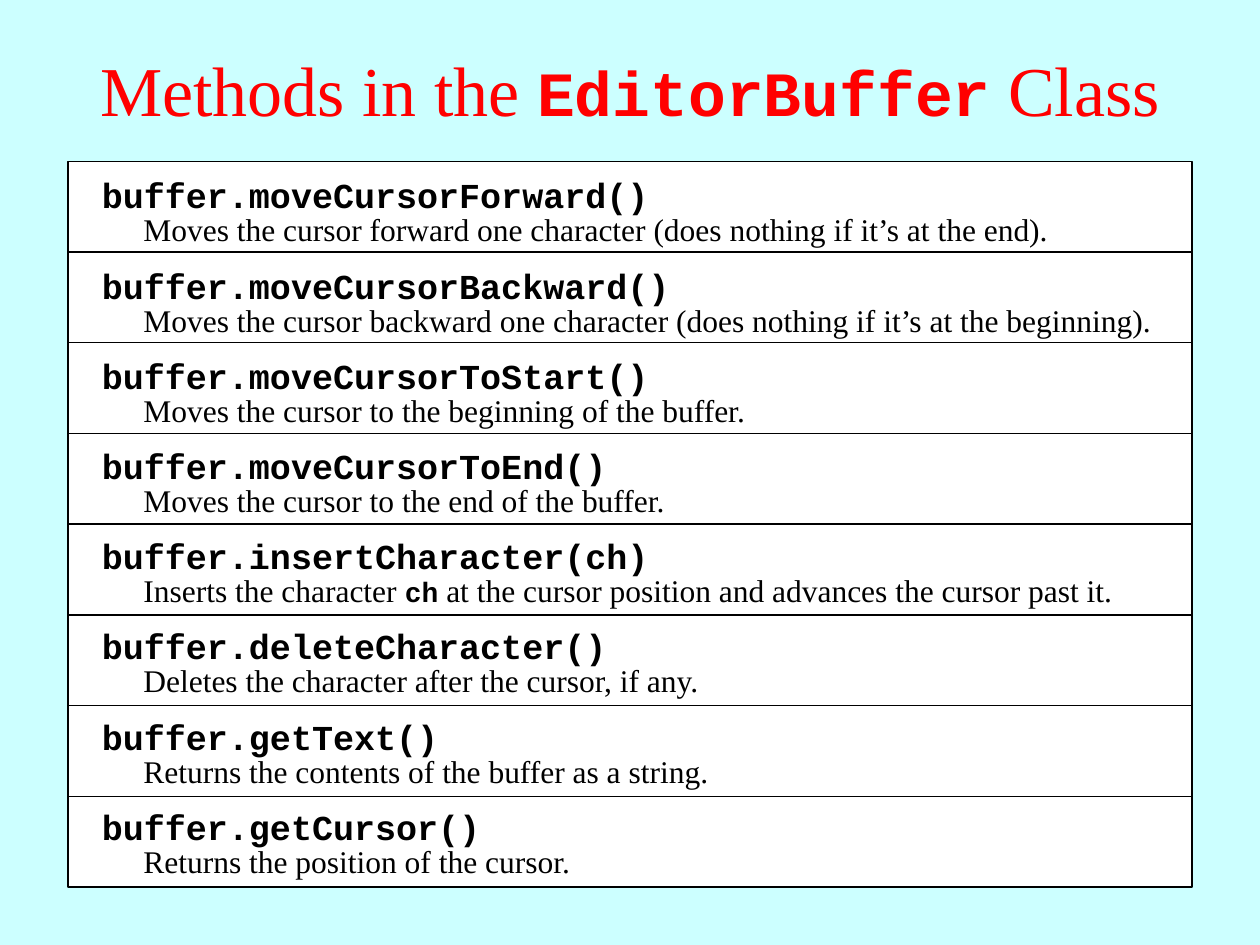
"""Build the slide listing the methods of the EditorBuffer class."""
from pptx import Presentation
from pptx.dml.color import RGBColor
from pptx.enum import shapes, text
from pptx.oxml.ns import qn
from pptx.util import Inches, Pt
from lxml import etree

COLORS = {"background": "CCFFFF", "title": "FF0000", "panel": "FFFFFF", "ink": "000000"}
SERIF, MONO = "Times New Roman", "Courier New"
TOP, ROW, LEFT, RIGHT = 1.28, 0.72, 0.54, 9.46
METHODS = [
    ("moveCursorForward()", ["Moves the cursor forward one character (does nothing if it’s at the end)."]),
    ("moveCursorBackward()", ["Moves the cursor backward one character (does nothing if it’s at the beginning)."]),
    ("moveCursorToStart()", ["Moves the cursor to the beginning of the buffer."]),
    ("moveCursorToEnd()", ["Moves the cursor to the end of the buffer."]),
    ("insertCharacter(ch)", ["Inserts the character ", "ch", " at the cursor position and advances the cursor past it."]),
    ("deleteCharacter()", ["Deletes the character after the cursor, if any."]),
    ("getText()", ["Returns the contents of the buffer as a string."]),
    ("getCursor()", ["Returns the position of the cursor."]),
]


def color(name):
    return RGBColor.from_string(COLORS[name])


def add_text(s, box, parts, size, ink, code_size, margin_top=0.05):
    """Add a one-line text box in which every second part is code."""
    tf = s.shapes.add_textbox(*[Inches(v) for v in box]).text_frame
    tf.word_wrap = True
    tf.margin_top, tf.margin_bottom = Inches(margin_top), Inches(0.02)
    p = tf.paragraphs[0]
    p.font.color.rgb = color(ink)
    for i, part in enumerate(parts):
        if part:
            r = p.add_run()
            r.text = part
            r.font.name = MONO if i % 2 else SERIF
            r.font.size = Pt(code_size if i % 2 else size)
            r.font.bold = bool(i % 2)
            r.font.color.rgb = color(ink)
    return tf


prs = Presentation()
prs.slide_width, prs.slide_height = Inches(10), Inches(7.5)
s = prs.slides.add_slide(prs.slide_layouts[6])
s.background.fill.solid()
s.background.fill.fore_color.rgb = color("background")

tf = add_text(s, (0, 0.08, 10, 1.25), ["Methods in the ", "EditorBuffer", " Class"], 40, "title", 36)
tf.margin_bottom = Inches(0.05)
tf.vertical_anchor = text.MSO_ANCHOR.MIDDLE
tf.paragraphs[0].alignment = text.PP_ALIGN.CENTER

panel = s.shapes.add_shape(shapes.MSO_SHAPE.RECTANGLE, Inches(LEFT), Inches(TOP),
                           Inches(RIGHT - LEFT), Inches(ROW * len(METHODS)))
panel.shadow.inherit = False
panel.fill.solid()
panel.fill.fore_color.rgb = color("panel")
panel.line.color.rgb = color("ink")
panel.line.width = Pt(0.75)

for i, (call, description) in enumerate(METHODS):
    y = TOP + i * 0.716
    add_text(s, (0.71, y, 8.58, 0.43), ["", "buffer." + call], 18, "ink", 20, 0.1)
    add_text(s, (1.04, y + 0.32, 8.33, 0.4), description, 18, "ink", 16, 0.07)

for i in range(len(METHODS) + 1):
    y = Inches(TOP + i * ROW)
    rule = s.shapes.add_connector(shapes.MSO_CONNECTOR.STRAIGHT, Inches(LEFT), y, Inches(RIGHT), y)
    rule.line.color.rgb = color("ink")
    rule.line.width = Pt(0.75)
    etree.SubElement(rule._element.spPr, qn("a:effectLst"))

prs.save("out.pptx")
